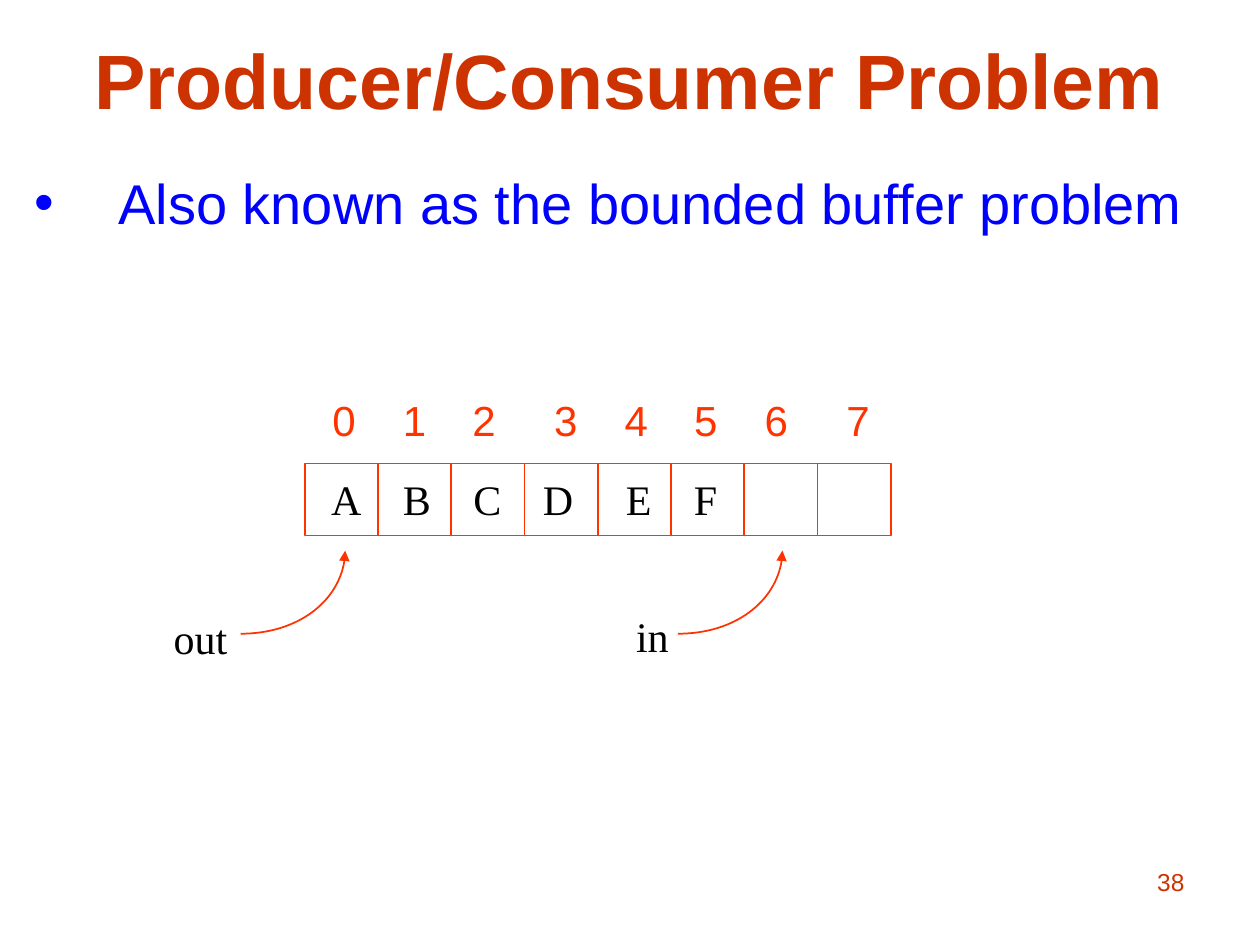
from dataclasses import dataclass
from lxml import etree
from pptx import Presentation
from pptx.dml.color import RGBColor
from pptx.enum.shapes import MSO_CONNECTOR, MSO_SHAPE
from pptx.enum.text import MSO_ANCHOR, MSO_AUTO_SIZE, PP_ALIGN
from pptx.oxml.ns import qn
from pptx.util import Inches, Pt

LEFT, CENTER, RIGHT = PP_ALIGN.LEFT, PP_ALIGN.CENTER, PP_ALIGN.RIGHT
MIDDLE, TOP = MSO_ANCHOR.MIDDLE, MSO_ANCHOR.TOP
NO_FIT = MSO_AUTO_SIZE.NONE
RECT, STRAIGHT = MSO_SHAPE.RECTANGLE, MSO_CONNECTOR.STRAIGHT


@dataclass(frozen=True)
class Theme:
    sans: str = "Arial"
    serif: str = "Times New Roman"
    title: str = "CC3300"
    body: str = "0000FF"
    accent: str = "FF3300"
    text: str = "000000"
    title_size: int = 44
    body_size: int = 32
    label_size: int = 24
    number_size: int = 14
    line: int = 1


theme = Theme()


def write(tf, text, size=theme.label_size, font=theme.serif, color=theme.text,
          bold=False, align=LEFT, anchor=TOP, bullet=None, tabs=()):
    tf.word_wrap = True
    tf.auto_size = NO_FIT
    tf.vertical_anchor = anchor
    p = tf.paragraphs[0]
    p.alignment = align
    p.space_before = Pt(0)
    pPr = p._p.get_or_add_pPr()
    if bullet:
        pPr.set("marL", str(Inches(0.67)))
        pPr.set("indent", str(-Inches(0.67)))
        clr = etree.SubElement(pPr, qn("a:buClr"))
        etree.SubElement(clr, qn("a:srgbClr"), val=color)
        etree.SubElement(pPr, qn("a:buFont"), typeface=font)
        etree.SubElement(pPr, qn("a:buChar"), char=bullet)
    if tabs:
        tab_list = etree.SubElement(pPr, qn("a:tabLst"))
        for pos in tabs:
            etree.SubElement(tab_list, qn("a:tab"), pos=str(Inches(pos)), algn="l")
    r = p.add_run()
    r.text = text
    r.font.size = Pt(size)
    r.font.name = font
    r.font.bold = bold
    r.font.color.rgb = RGBColor.from_string(color)


def outline(sp):
    sp.line.color.rgb = RGBColor.from_string(theme.accent)
    sp.line.width = Pt(theme.line)


prs = Presentation()
prs.slide_width, prs.slide_height = Inches(10), Inches(7.5)
s = prs.slides.add_slide(prs.slide_layouts[1])

title, body = s.shapes.title, s.placeholders[1]
for sp, box in ((title, (0.5, 0, 9, 1.25)), (body, (0.17, 1.25, 9.83, 1.53))):
    sp.left, sp.top, sp.width, sp.height = map(Inches, box)
write(title.text_frame, "Producer/Consumer Problem", size=theme.title_size,
      font=theme.sans, color=theme.title, bold=True, align=CENTER, anchor=MIDDLE)
body.text_frame.margin_top = Inches(0.09)
write(body.text_frame, "Also known as the bounded buffer problem",
      size=theme.body_size, font=theme.sans, color=theme.body, bullet="•")

left, top, width, height, slots = 2.42, 3.68, 4.65, 0.57, 8
grp = s.shapes.add_group_shape()
buffer = grp.shapes.add_shape(RECT, Inches(left), Inches(top), Inches(width), Inches(height))
buffer.shadow.inherit = False
buffer.fill.background()
outline(buffer)
for i in range(1, slots):
    x = Inches(left + i * width / slots)
    divider = grp.shapes.add_connector(STRAIGHT, x, Inches(top), x, Inches(top + height))
    outline(divider)
    etree.SubElement(divider._element.spPr, qn("a:effectLst"))
    if i == slots // 2:
        divider.begin_connect(buffer, 0)
        divider.end_connect(buffer, 2)

arc_w, arc_h, bend = Inches(0.83), Inches(0.66), 0.55
for x in (5.38, 1.91):
    fb = s.shapes.build_freeform(Inches(x) + arc_w, Inches(4.37))
    fb.add_line_segments([(Inches(x), Inches(4.37) + arc_h)], close=False)
    sp = fb.convert_to_shape()
    sp.shadow.inherit = False
    sp.fill.background()
    outline(sp)
    etree.SubElement(sp.line._get_or_add_ln(), qn("a:headEnd"), type="triangle")
    curve = next(sp._element.iter(qn("a:lnTo")))
    curve.tag = qn("a:cubicBezTo")
    for i, (cx, cy) in enumerate(((arc_w, bend * arc_h), (bend * arc_w, arc_h))):
        pt = etree.Element(qn("a:pt"), x=str(int(cx)), y=str(int(cy)))
        curve.insert(i, pt)

labels = (
    ("38", (7.17, 6.83, 2.33, 0.52),
     dict(size=theme.number_size, font=theme.sans, color=theme.title, align=RIGHT)),
    ("\t".join("01234567"), (2.54, 3.08, 4.5, 0.5),
     dict(font=theme.sans, color=theme.accent,
          tabs=(0.56, 1.11, 1.76, 2.32, 2.87, 3.43, 4.08))),
    ("out", (1.28, 4.81, 0.66, 0.5), {}),
    ("\t".join("ABCDEF"), (2.53, 3.71, 3.4, 0.5),
     dict(tabs=(0.57, 1.13, 1.68, 2.34, 2.88))),
    ("in", (4.95, 4.8, 0.5, 0.5), {}),
)
for text, box, fmt in labels:
    write(s.shapes.add_textbox(*map(Inches, box)).text_frame, text, **fmt)

prs.save("out.pptx")
